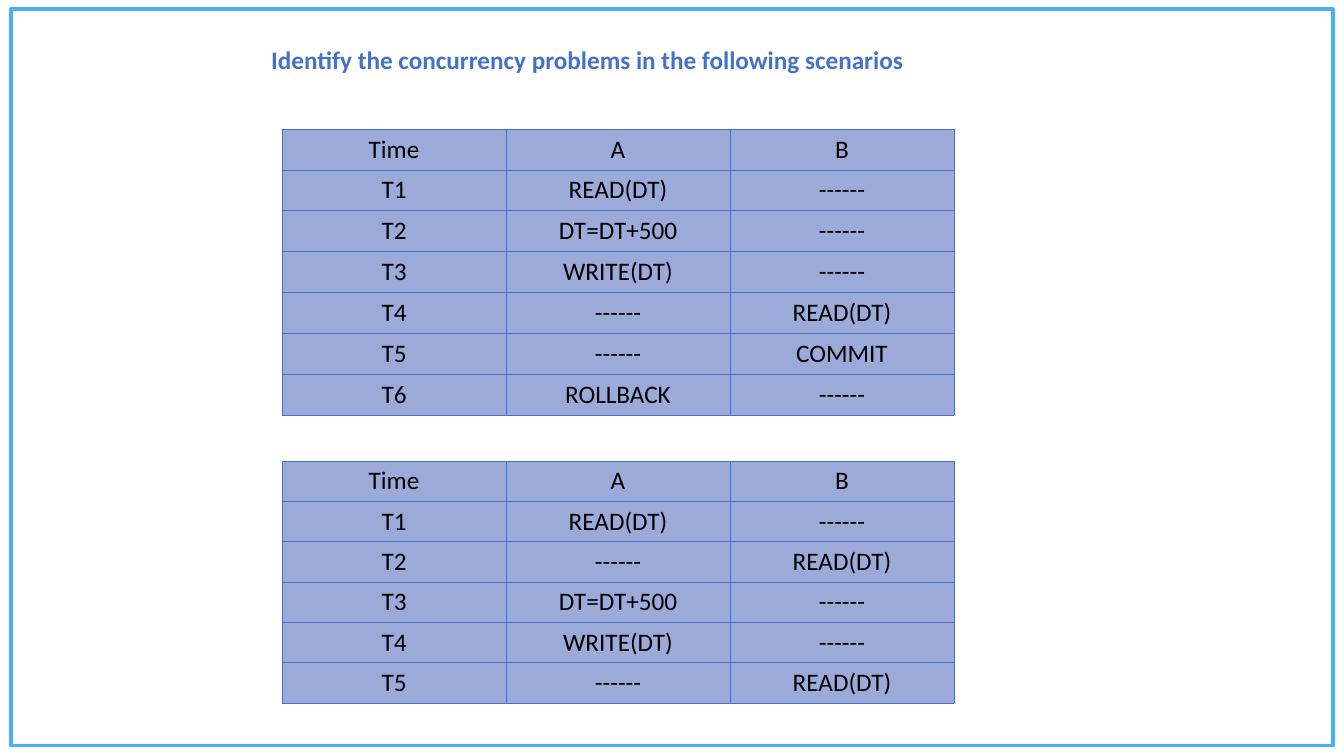
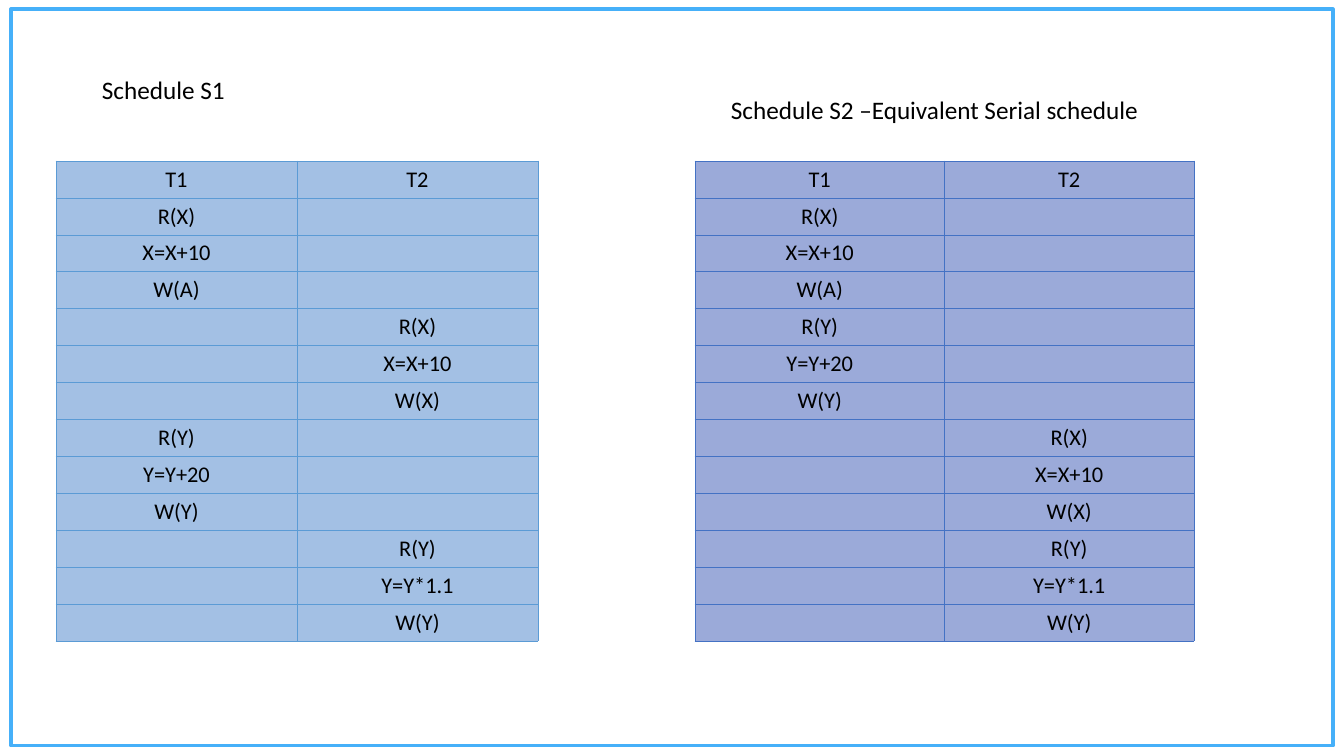
import pptx
import pptx.util
import pptx.dml.color
import pptx.enum.shapes
import pptx.enum.text
import pptx.oxml

PX = 9071  # EMU per px, 100.8 px to the inch
FONT = "Calibri"
BLACK, BLUE, SKY, FRAME = "000000", "4472C4", "5B9BD5", "46B0F9"
TINTS = {BLUE: "9BAAD9", SKY: "A3C0E4"}
ALIGN = pptx.enum.text.PP_ALIGN
ANCHOR = pptx.enum.text.MSO_ANCHOR
rgb = pptx.dml.color.RGBColor.from_string


def set_text(tf, text, size, align, color=BLACK, bold=False):
    tf.text = text
    tf.word_wrap = True
    p = tf.paragraphs[0]
    p.alignment = align
    for r in p.runs:
        r.font.name = FONT
        r.font.size = pptx.util.Pt(size)
        r.font.bold = bold
        r.font.color.rgb = rgb(color)


def add_schedule(s, box, rows, size, accent):
    """Add a table with equal rows and columns, ruled in accent and filled with its tint."""
    x, y, w, h = (n * PX for n in box)
    table = s.shapes.add_table(len(rows), len(rows[0]), x, y, w, h).table
    table.first_row = table.horz_banding = False
    for column in table.columns:
        column.width = w // len(rows[0])
    for row, texts in zip(table.rows, rows):
        row.height = h // len(rows)
        for cell, text in zip(row.cells, texts):
            set_text(cell.text_frame, text, size, ALIGN.CENTER)
            cell.vertical_anchor = ANCHOR.MIDDLE
            cell.margin_top = cell.margin_bottom = 3 * PX
            tcPr = cell._tc.get_or_add_tcPr()
            for side in "LRTB":
                tcPr.append(pptx.oxml.parse_xml(
                    f'<a:ln{side} xmlns:a="http://schemas.openxmlformats.org/drawingml/2006/main" '
                    f'w="6350"><a:solidFill><a:srgbClr val="{accent}"/></a:solidFill></a:ln{side}>'))
            cell.fill.solid()
            cell.fill.fore_color.rgb = rgb(TINTS[accent])


prs = pptx.Presentation()
prs.slide_width, prs.slide_height = 1344 * PX, 756 * PX
TITLE_ONLY, BLANK = prs.slide_layouts[5], prs.slide_layouts[6]

problems = prs.slides.add_slide(TITLE_ONLY)
schedules = prs.slides.add_slide(BLANK)

for s in (problems, schedules):
    sp = s.shapes.add_shape(pptx.enum.shapes.MSO_SHAPE.RECTANGLE, 11 * PX, 9 * PX, 1322 * PX, 737 * PX)
    sp.shadow.inherit = False
    sp.fill.background()
    sp.line.color.rgb = rgb(FRAME)
    sp.line.width = pptx.util.Pt(2.25)

# Slide 1: concurrency problems
title = problems.shapes.title
title.left, title.top, title.width, title.height = 116 * PX, 39 * PX, 943 * PX, 41 * PX
set_text(title.text_frame, "Identify the concurrency problems in the following scenarios",
         18, ALIGN.CENTER, BLUE, True)
title.text_frame.auto_size = pptx.enum.text.MSO_AUTO_SIZE.NONE
title.text_frame.vertical_anchor = ANCHOR.MIDDLE

IDLE = "------"
HEADER = ("Time", "A", "B")
lost_rollback = [
    HEADER,
    ("T1", "READ(DT)", IDLE),
    ("T2", "DT=DT+500", IDLE),
    ("T3", "WRITE(DT)", IDLE),
    ("T4", IDLE, "READ(DT)"),
    ("T5", IDLE, "COMMIT"),
    ("T6", "ROLLBACK", IDLE),
]
changed_read = [
    HEADER,
    ("T1", "READ(DT)", IDLE),
    ("T2", IDLE, "READ(DT)"),
    ("T3", "DT=DT+500", IDLE),
    ("T4", "WRITE(DT)", IDLE),
    ("T5", IDLE, "READ(DT)"),
]
add_schedule(problems, (282, 129, 672, 286), lost_rollback, 18, BLUE)
add_schedule(problems, (282, 461, 672, 242), changed_read, 18, BLUE)

# Slide 2: a schedule beside its serial equivalent
t1_x = [(step, "") for step in ("R(X)", "X=X+10", "W(A)")]
t1_y = [(step, "") for step in ("R(Y)", "Y=Y+20", "W(Y)")]
t2_x = [("", step) for step in ("R(X)", "X=X+10", "W(X)")]
t2_y = [("", step) for step in ("R(Y)", "Y=Y*1.1", "W(Y)")]
header = [("T1", "T2")]
add_schedule(schedules, (56, 161, 482, 480), header + t1_x + t2_x + t1_y + t2_y, 16, SKY)
add_schedule(schedules, (695, 161, 499, 480), header + t1_x + t1_y + t2_x + t2_y, 16, BLUE)

for text, x, y, w in (
    ("Schedule S1", 92, 69, 355),
    ("Schedule S2 –Equivalent Serial schedule", 721, 89, 499),
):
    sp = schedules.shapes.add_textbox(x * PX, y * PX, w * PX, 41 * PX)
    set_text(sp.text_frame, text, 18, ALIGN.LEFT)

prs.save("out.pptx")
